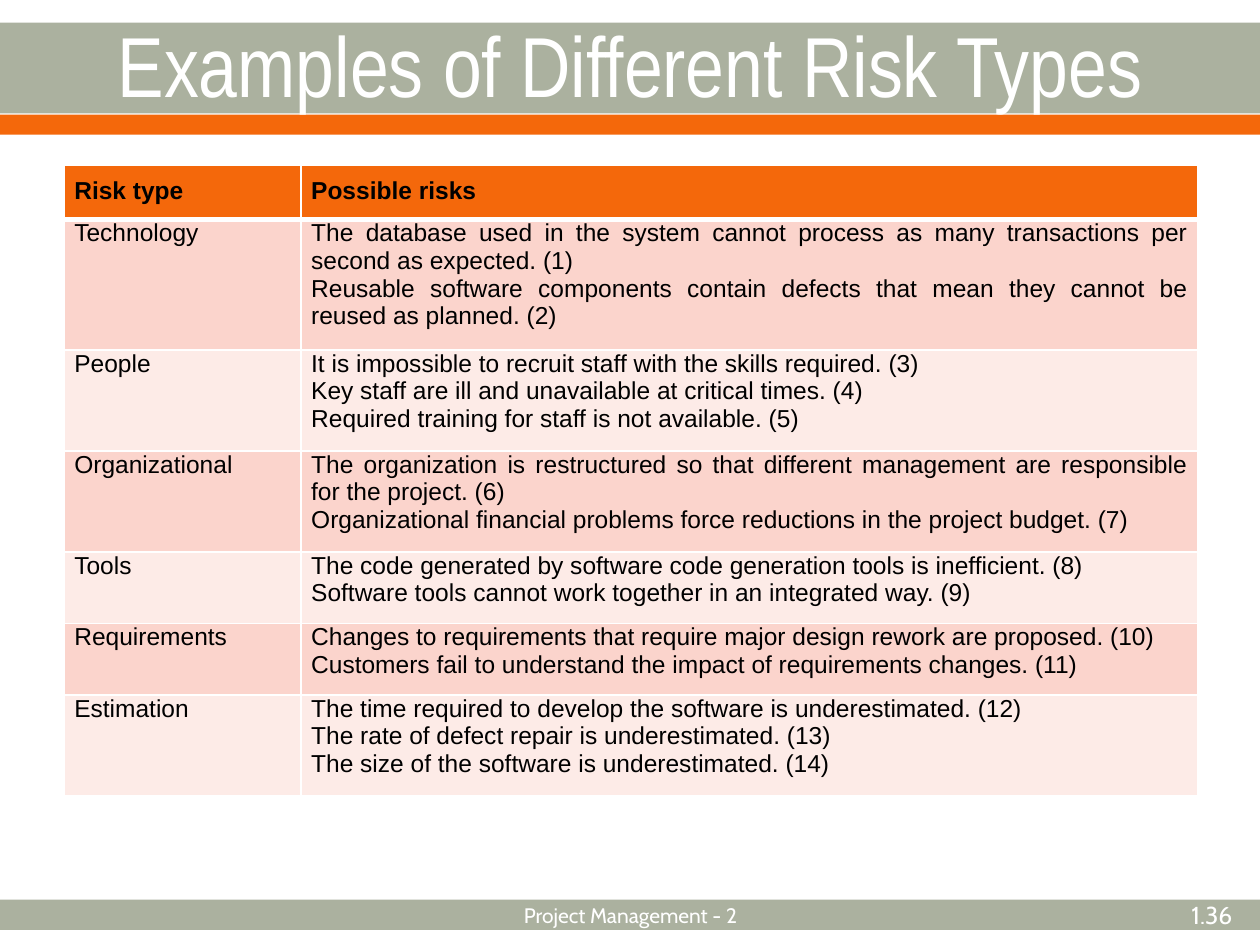
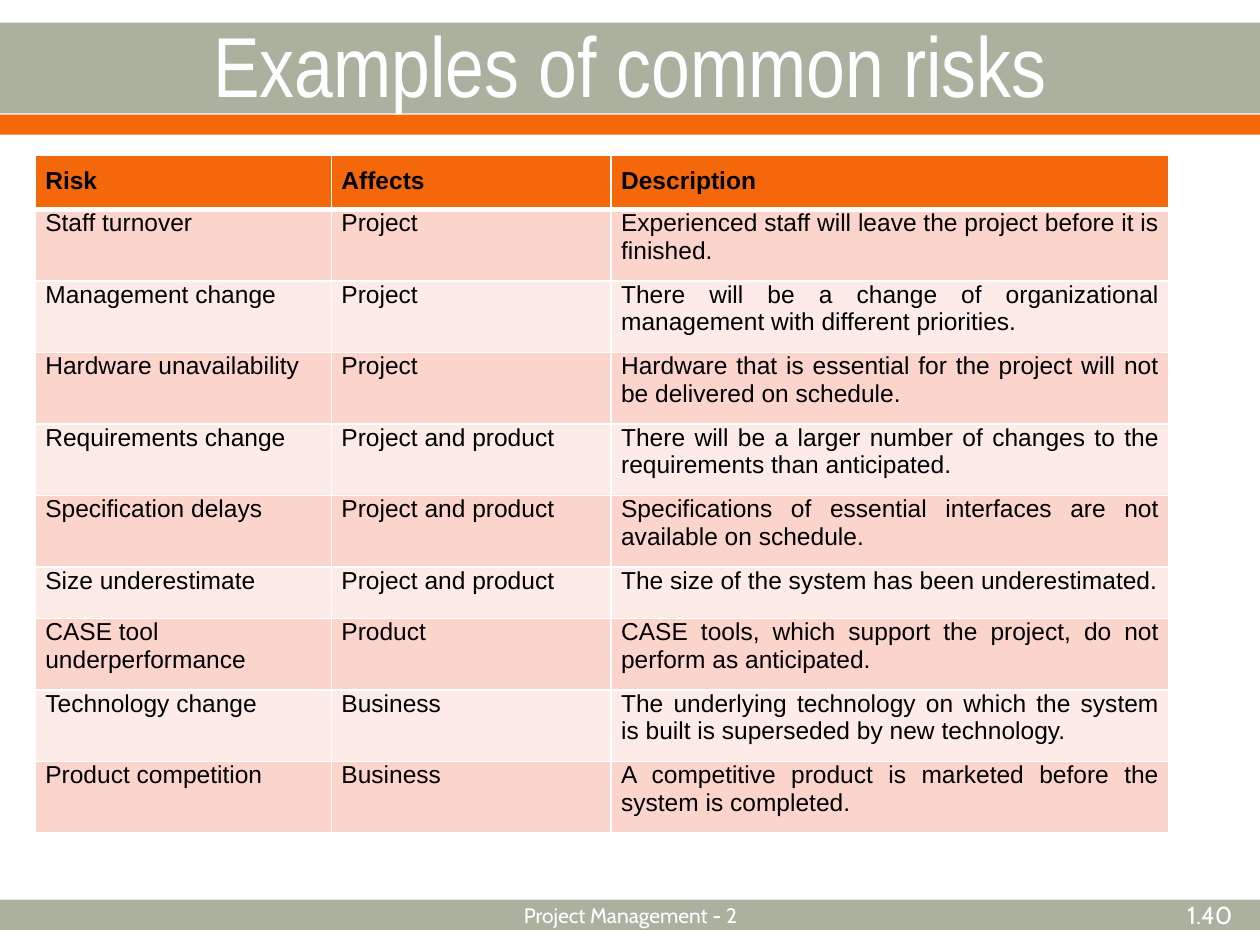
import pptx
import pptx.dml.color
import pptx.enum.shapes
import pptx.enum.text
import pptx.oxml.ns
import pptx.util
import lxml.etree
from dataclasses import dataclass

Inches = pptx.util.Inches
Align = pptx.enum.text.PP_ALIGN
Anchor = pptx.enum.text.MSO_ANCHOR


@dataclass(frozen=True)
class Theme:
    sage: str = "ABB19F"
    orange: str = "F4680B"
    pink: str = "FBD4CC"
    pale_pink: str = "FDEBE7"
    white: str = "FFFFFF"
    black: str = "000000"
    title_font: str = "Arial Narrow"
    table_font: str = "Arial"
    footer_font: str = "Cabin"
    title_size: float = 48.6
    table_size: float = 14
    footer_size: float = 12
    number_size: float = 14
    border: float = 1
    header_rule: float = 3


THEME = Theme()
FOOTER = "Project Management - 2"

BANDS = [
    (0.18, 0.72, THEME.sage),
    (0.91, 0.16, THEME.orange),
    (7.14, 0.24, THEME.sage),
]

SLIDES = [
    {
        "title": "Examples of Different Risk Types",
        "number": "1.36",
        "position": (0.51, 1.31),
        "columns": [1.88, 7.12],
        "alignments": [Align.JUSTIFY, Align.JUSTIFY],
        "header": ["Risk type", "Possible risks"],
        "rows": [
            ("Technology", [
                "The database used in the system cannot process as many transactions per second as expected. (1)",
                "Reusable software components contain defects that mean they cannot be reused as planned. (2)",
            ]),
            ("People", [
                "It is impossible to recruit staff with the skills required. (3)",
                "Key staff are ill and unavailable at critical times. (4)",
                "Required training for staff is not available. (5)",
            ]),
            ("Organizational", [
                "The organization is restructured so that different management are responsible for the project. (6)",
                "Organizational financial problems force reductions in the project budget. (7)",
            ]),
            ("Tools", [
                "The code generated by software code generation tools is inefficient. (8)",
                "Software tools cannot work together in an integrated way. (9)",
            ]),
            ("Requirements", [
                "Changes to requirements that require major design rework are proposed. (10)",
                "Customers fail to understand the impact of requirements changes. (11)",
            ]),
            ("Estimation", [
                "The time required to develop the software is underestimated. (12)",
                "The rate of defect repair is underestimated. (13)",
                "The size of the software is underestimated. (14)",
            ]),
        ],
    },
    {
        "title": "Examples of common risks",
        "number": "1.40",
        "position": (0.28, 1.23),
        "columns": [2.35, 2.22, 4.43],
        "alignments": [Align.LEFT, Align.LEFT, Align.JUSTIFY],
        "header": ["Risk", "Affects", "Description"],
        "rows": [
            ("Staff turnover", "Project",
             "Experienced staff will leave the project before it is finished."),
            ("Management change", "Project",
             "There will be a change of organizational management with different priorities."),
            ("Hardware unavailability", "Project",
             "Hardware that is essential for the project will not be delivered on schedule."),
            ("Requirements change", "Project and product",
             "There will be a larger number of changes to the requirements than anticipated."),
            ("Specification delays", "Project and product",
             "Specifications of essential interfaces are not available on schedule."),
            ("Size underestimate", "Project and product",
             "The size of the system has been underestimated."),
            ("CASE tool underperformance", "Product",
             "CASE tools, which support the project, do not perform as anticipated."),
            ("Technology change", "Business",
             "The underlying technology on which the system is built is superseded by new technology."),
            ("Product competition", "Business",
             "A competitive product is marketed before the system is completed."),
        ],
    },
]


def color(value):
    return pptx.dml.color.RGBColor.from_string(value)


def write(text_frame, text, *, font, size, fill, alignment, bold=False):
    lines = [text] if isinstance(text, str) else text
    for index, line in enumerate(lines):
        paragraph = text_frame.add_paragraph() if index else text_frame.paragraphs[0]
        paragraph.alignment = alignment
        run = paragraph.add_run()
        run.text = line
        run.font.name = font
        run.font.size = pptx.util.Pt(size)
        run.font.bold = bold
        run.font.color.rgb = color(fill)


def set_borders(cell, top, bottom):
    properties = cell._tc.get_or_add_tcPr()
    widths = {"a:lnL": THEME.border, "a:lnR": THEME.border, "a:lnT": top, "a:lnB": bottom}
    for index, (tag, width) in enumerate(widths.items()):
        line = lxml.etree.Element(pptx.oxml.ns.qn(tag), w=str(pptx.util.Pt(width)))
        fill = lxml.etree.SubElement(line, pptx.oxml.ns.qn("a:solidFill"))
        lxml.etree.SubElement(fill, pptx.oxml.ns.qn("a:srgbClr"), val=THEME.white)
        properties.insert(index, line)


def move_bands_to_layout(slide, layout):
    for placeholder in list(layout.placeholders):
        if placeholder.placeholder_format.type != pptx.enum.shapes.PP_PLACEHOLDER.TITLE:
            placeholder.element.getparent().remove(placeholder.element)
    for top, height, fill in BANDS:
        band = slide.shapes.add_shape(
            pptx.enum.shapes.MSO_SHAPE.RECTANGLE, 0, Inches(top), Inches(10), Inches(height))
        band.shadow.inherit = False
        band.fill.solid()
        band.fill.fore_color.rgb = color(fill)
        band.line.fill.background()
        layout.shapes.element.append(band.element)


def add_title(slide, text):
    title = slide.shapes.title
    title.left, title.top = Inches(0), Inches(0.19)
    title.width, title.height = Inches(10), Inches(0.62)
    title.text_frame.auto_size = pptx.enum.text.MSO_AUTO_SIZE.NONE
    title.text_frame.vertical_anchor = Anchor.MIDDLE
    write(title.text_frame, text, font=THEME.title_font, size=THEME.title_size,
          fill=THEME.white, alignment=Align.CENTER)


def add_footer_text(slide, text, left, width, size, alignment):
    box = slide.shapes.add_textbox(Inches(left), Inches(7.06), Inches(width), Inches(0.4))
    box.text_frame.word_wrap = True
    box.text_frame.vertical_anchor = Anchor.MIDDLE
    write(box.text_frame, text, font=THEME.footer_font, size=size,
          fill=THEME.white, alignment=alignment)


def add_risk_table(slide, content):
    rows = [content["header"], *content["rows"]]
    columns = content["columns"]
    row_height = Inches(0.41)
    left, top = map(Inches, content["position"])
    table = slide.shapes.add_table(
        len(rows), len(columns), left, top, Inches(sum(columns)), row_height * len(rows)).table
    for column, width in zip(table.columns, columns):
        column.width = Inches(width)
    for row_index, row in enumerate(rows):
        table.rows[row_index].height = row_height
        is_header = row_index == 0
        band_fill = THEME.pink if row_index % 2 else THEME.pale_pink
        for column_index, text in enumerate(row):
            cell = table.cell(row_index, column_index)
            cell.margin_left = cell.margin_right = Inches(0.08)
            cell.margin_top = Inches(0.1 if is_header else 0)
            cell.margin_bottom = Inches(0.1)
            cell.fill.solid()
            cell.fill.fore_color.rgb = color(THEME.orange if is_header else band_fill)
            set_borders(cell,
                        top=THEME.header_rule if row_index == 1 else THEME.border,
                        bottom=THEME.header_rule if is_header else THEME.border)
            write(cell.text_frame, text, font=THEME.table_font, size=THEME.table_size,
                  fill=THEME.black, bold=is_header,
                  alignment=Align.JUSTIFY if is_header else content["alignments"][column_index])


def main():
    presentation = pptx.Presentation()
    presentation.slide_width, presentation.slide_height = Inches(10), Inches(7.5)
    layout = presentation.slide_layouts.get_by_name("Title Only")
    for index, content in enumerate(SLIDES):
        slide = presentation.slides.add_slide(layout)
        if index == 0:
            move_bands_to_layout(slide, layout)
        add_title(slide, content["title"])
        add_footer_text(slide, FOOTER, 3.42, 3.17, THEME.footer_size, Align.CENTER)
        add_footer_text(slide, content["number"], 8.15, 1.73, THEME.number_size, Align.RIGHT)
        add_risk_table(slide, content)
    presentation.save("out.pptx")


if __name__ == "__main__":
    main()
